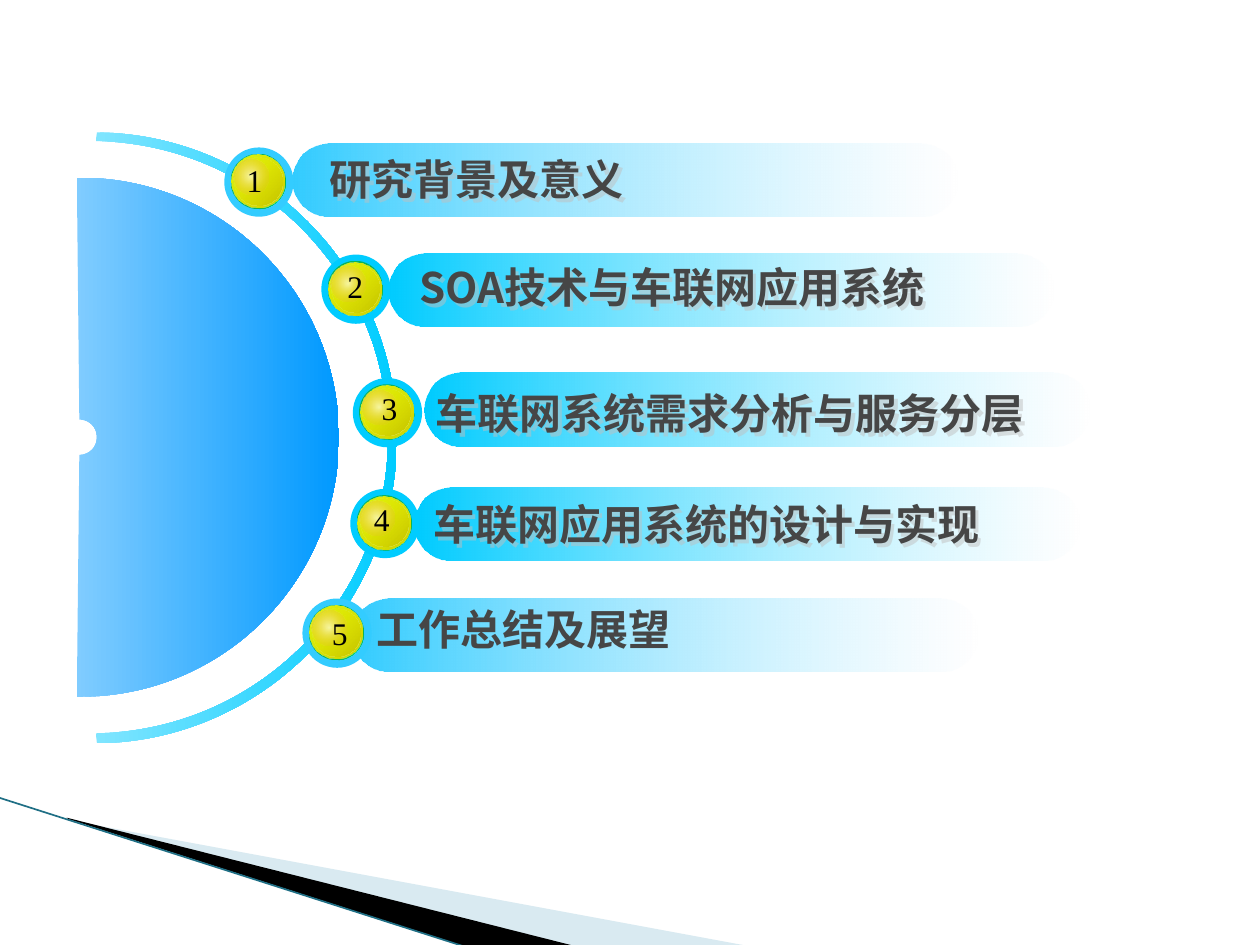
from pptx import Presentation
from pptx.dml.color import RGBColor
from pptx.enum.shapes import MSO_CONNECTOR, MSO_SHAPE
from pptx.enum.text import MSO_ANCHOR, MSO_AUTO_SIZE, PP_ALIGN
from pptx.oxml import parse_xml
from pptx.oxml.ns import nsdecls, qn
from pptx.util import Inches, Pt


def paint(sp, *stops, angle=0, focus=None):
    """Fill with one colour or a gradient; a stop is RRGGBB or RRGGBB/alpha percent.

    focus holds the left, top, right and bottom percents of a path gradient.
    """
    colors = []
    for stop in stops:
        rgb, _, alpha = stop.partition("/")
        colors.append(f'<a:srgbClr val="{rgb}"><a:alpha val="{int(alpha or 100) * 1000}"/></a:srgbClr>')
    if len(colors) == 1:
        xml = f'<a:solidFill {nsdecls("a")}>{colors[0]}</a:solidFill>'
    else:
        if focus:
            l, t, r, b = (v * 1000 for v in focus)
            kind = "circle" if l == r else "rect"
            course = f'<a:path path="{kind}"><a:fillToRect l="{l}" t="{t}" r="{r}" b="{b}"/></a:path>'
        else:
            course = f'<a:lin ang="{angle * 60000}" scaled="1"/>'
        xml = (f'<a:gradFill {nsdecls("a")} rotWithShape="1"><a:gsLst>'
               f'<a:gs pos="0">{colors[0]}</a:gs><a:gs pos="100000">{colors[1]}</a:gs>'
               f'</a:gsLst>{course}</a:gradFill>')
    sp.shadow.inherit = False
    sp.line.fill.background()
    sp.fill.background()
    props = sp._element.spPr
    props.replace(props.find(qn("a:noFill")), parse_xml(xml))


def add_text(sp, text, size=24, font="Noto Sans CJK SC", color="464646",
             bold=True, wrap=True, shadow=False):
    tf = sp.text_frame
    tf.word_wrap = wrap
    p = tf.paragraphs[0]
    p.alignment = PP_ALIGN.LEFT
    r = p.add_run()
    r.text = text
    r.font.size = Pt(size)
    r.font.bold = bold
    r.font.name = font
    r.font.color.rgb = RGBColor.from_string(color)
    r.font._element.find(qn("a:latin")).addnext(
        parse_xml(f'<a:ea {nsdecls("a")} typeface="{font}"/>'))
    if shadow:
        sp._element.spPr.append(parse_xml(
            f'<a:effectLst {nsdecls("a")}><a:outerShdw dist="38100" dir="2700000" algn="tl">'
            '<a:srgbClr val="C0C0C0"><a:alpha val="50000"/></a:srgbClr>'
            '</a:outerShdw></a:effectLst>'))


prs = Presentation()
prs.slide_width, prs.slide_height = Inches(10), Inches(7.5)
s = prs.slides.add_slide(prs.slide_layouts[6])

# Outlines: frame (or None for a tight one), fill, start, then steps.
# A step of one point is a straight line, a step of three is a curve.
outlines = [
    ((0.78, 5.47, 4.16, 1.58), ["A0CBDC/40"], (0.55, 6.51),
     [[(5.95, 7.51)], [(4.56, 7.51)], [(0.55, 6.5)]]),
    ((-0.06, 6.33, 4.16, 0.92), ["000000"], (0.53, 6.49),
     [[(4.57, 7.51)], [(3.72, 7.52)], [(0.54, 6.5)]]),
    (None, ["80E5FF", "00CCFF"], (0.76, 1.12),
     [[(2.05, 1.14), (3.08, 2.19), (3.08, 3.47)], [(3.08, 4.76), (2.05, 5.8), (0.76, 5.82)],
      [(0.77, 5.9)],
      [(2.09, 5.88), (3.15, 4.8), (3.15, 3.47)], [(3.15, 2.15), (2.09, 1.07), (0.77, 1.05)]]),
    (None, ["80CCFF", "0099FF"], (0.63, 3.33),
     [[(0.71, 3.33), (0.77, 3.39), (0.77, 3.47)], [(0.77, 3.55), (0.71, 3.61), (0.63, 3.61)],
      [(0.61, 5.53)], [(0.63, 5.53)],
      [(1.77, 5.53), (2.69, 4.61), (2.69, 3.47)], [(2.69, 2.33), (1.77, 1.41), (0.63, 1.41)],
      [(0.61, 1.41)]]),
]
for frame, stops, start, steps in outlines:
    builder = s.shapes.build_freeform(Inches(start[0]), Inches(start[1]))
    builder.add_line_segments([(Inches(x), Inches(y)) for step in steps for x, y in step], close=True)
    sp = builder.convert_to_shape()
    outline = next(sp._element.iter(qn("a:path")))

    lines = iter(outline.findall(qn("a:lnTo")))
    for step in steps:
        line = next(lines)
        if len(step) == 3:
            curve = parse_xml(f'<a:cubicBezTo {nsdecls("a")}/>')
            line.addprevious(curve)
            for part in (line, next(lines), next(lines)):
                curve.append(part[0])
                outline.remove(part)

    if frame:
        left, top, width, height = map(Inches, frame)
        for pt in outline.iter(qn("a:pt")):
            pt.set("x", str(int(pt.get("x")) + sp.left - left))
            pt.set("y", str(int(pt.get("y")) + sp.top - top))
        outline.set("w", str(width))
        outline.set("h", str(height))
        sp.left, sp.top, sp.width, sp.height = left, top, width, height
    paint(sp, *stops)

edge = s.shapes.add_connector(MSO_CONNECTOR.STRAIGHT, Inches(-0.01), Inches(6.33),
                              Inches(3.71), Inches(7.52))
edge.line.width = Pt(0.95)
edge.line.color.rgb = RGBColor.from_string("1F6F85")
edge._element.spPr.append(parse_xml(f'<a:effectLst {nsdecls("a")}/>'))

# Layers of a badge: offset x, offset y, diameter, stops, gradient options
layers = [
    (0.05, 0.05, 0.44, ["10E470", "0DB358"], {"focus": (100, 100, 0, 0)}),
    (0.06, 0.06, 0.42, ["FFFF00/85", "D1D100"], {"angle": 45}),
    (0.07, 0.09, 0.28, ["FFFFFF", "E9940B/0"], {"focus": (50, 50, 50, 50)}),
    (0.08, 0.08, 0.38, ["FFFF00/0", "C2C200"], {"angle": 45}),
]
digit_format = {"size": 18, "font": "Times New Roman", "color": "000000", "bold": False, "wrap": False}

# Rows: bar (x, y, width), badge, digit (None: inside the badge), text (x, y, width), colour, wording
rows = [
    ((2.32, 1.14, 5.28), (1.78, 1.17), (1.86, 1.23), (2.52, 1.17, 2.66), "33CCFF", "研究背景及意义"),
    ((3.08, 2.01, 5.28), (2.55, 2.02), (2.66, 2.07), (3.23, 2.03, 4.44), "00CCFF", "SOA技术与车联网应用系统"),
    ((3.37, 2.96, 5.28), (2.8, 3.0), (2.93, 3.04), (3.36, 3.03, 5.14), "00CCFF", "车联网系统需求分析与服务分层"),
    ((3.29, 3.87, 5.28), (2.78, 3.88), (2.87, 3.92), (3.34, 3.91, 5.26), "00CCFF", "车联网应用系统的设计与实现"),
    ((2.8, 4.75, 4.96), (2.4, 4.75), None, (2.89, 4.74, 3.75), "33CCFF", "工作总结及展望"),
]
for number, (bar, badge, digit, label, color, wording) in enumerate(rows, 1):
    x, y, w = bar
    sp = s.shapes.add_shape(MSO_SHAPE.ROUNDED_RECTANGLE, Inches(x), Inches(y), Inches(w), Inches(0.58))
    sp.adjustments[0] = 0.5
    paint(sp, color, "FFFFFF/50")

    x, y = badge
    group = s.shapes.add_group_shape()
    for dx, dy, size, stops, options in [(0, 0, 0.55, [color], {})] + layers:
        sp = group.shapes.add_shape(MSO_SHAPE.OVAL, Inches(x + dx), Inches(y + dy),
                                    Inches(size), Inches(size))
        paint(sp, *stops, **options)

    if digit:
        sp = s.shapes.add_textbox(Inches(digit[0]), Inches(digit[1]), Inches(0.34), Inches(0.4))
        sp.text_frame.auto_size = MSO_AUTO_SIZE.SHAPE_TO_FIT_TEXT
    else:
        sp.text_frame.vertical_anchor = MSO_ANCHOR.MIDDLE
    add_text(sp, str(number), **digit_format)

    x, y, w = label
    sp = s.shapes.add_textbox(Inches(x), Inches(y), Inches(w), Inches(0.5))
    sp.text_frame.auto_size = MSO_AUTO_SIZE.SHAPE_TO_FIT_TEXT
    add_text(sp, wording, shadow=number < len(rows))

prs.save("out.pptx")
